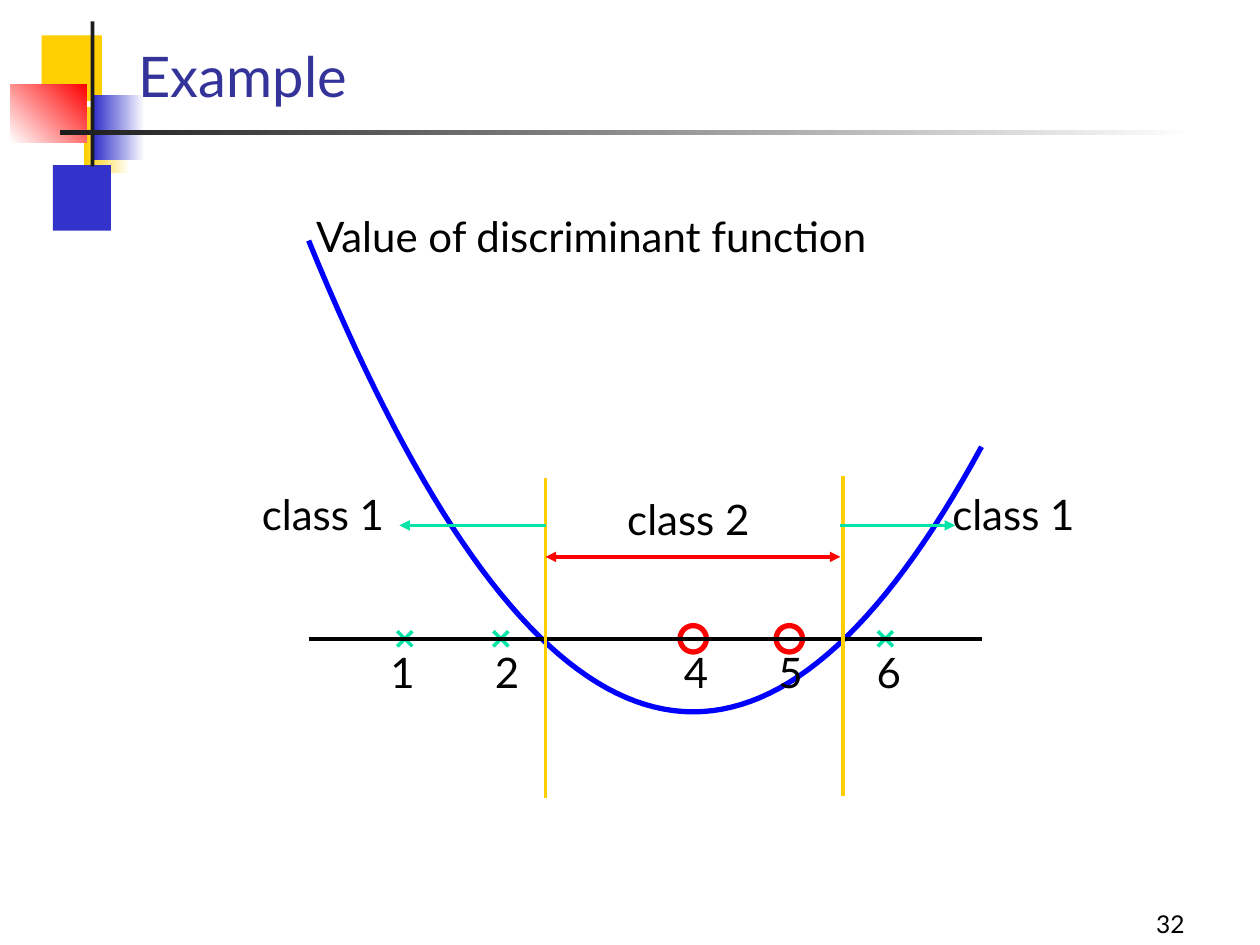
from pptx import Presentation
from pptx import util as u
from pptx.dml.color import RGBColor
from pptx.enum import shapes, text
from pptx.oxml.ns import qn
from lxml import etree

COLORS = {
    "gold": "FFCF01", "indigo": "3333CC", "red": "FF0000", "white": "FFFFFF",
    "ink": "1C1C1C", "title": "333399", "black": "000000",
    "class1": "00E4A8", "curve": "0000FF",
}

# Plot scale: x runs from 0 to 7, the parabola has its lowest point at x = 4
ORIGIN_X, UNIT_X, AXIS_Y = 2.45, 5.34 / 7, 5.07
LOW_X, LOW_Y, DROP = 4, 5.65, 3.74


def plot_x(value):
    return ORIGIN_X + UNIT_X * value


def curve_y(value):
    return LOW_Y - DROP * ((value - LOW_X) / LOW_X) ** 2


def rgb(name):
    return RGBColor.from_string(COLORS[name])


class Painter:
    font = "Lato"

    def __init__(self, page):
        self.page = page

    def style(self, frame, words, size, color, align=text.PP_ALIGN.LEFT):
        frame.text = words
        para = frame.paragraphs[0]
        para.alignment = align
        para.font.name = self.font
        para.font.size = u.Pt(size)
        para.font.color.rgb = rgb(color)

    def title(self, words, left, top, width, height):
        box = self.page.shapes.title
        box.left, box.top, box.width, box.height = map(u.Inches, (left, top, width, height))
        box.text_frame.vertical_anchor = text.MSO_ANCHOR.BOTTOM
        self.style(box.text_frame, words, 32, "title")
        box.element.getparent().append(box.element)  # in front of the ornament

    def label(self, words, left, top, width, height=0.5, size=24, wrap=False,
              align=text.PP_ALIGN.LEFT, anchor=text.MSO_ANCHOR.TOP):
        box = self.page.shapes.add_textbox(*map(u.Inches, (left, top, width, height)))
        box.text_frame.word_wrap = wrap
        box.text_frame.vertical_anchor = anchor
        self.style(box.text_frame, words, size, "black", align)

    def block(self, left, top, width, height, start, end=None, angle=180):
        shape = self.page.shapes.add_shape(
            shapes.MSO_SHAPE.RECTANGLE, *map(u.Inches, (left, top, width, height)))
        shape.shadow.inherit = False
        shape.line.fill.background()
        if end is None:
            shape.fill.solid()
            shape.fill.fore_color.rgb = rgb(start)
            return
        shape.fill.gradient()
        shape.fill.gradient_angle = angle
        for stop, color in zip(shape.fill.gradient_stops, (start, end)):
            stop.color.rgb = rgb(color)

    def ring(self, x, y, size, color):
        shape = self.page.shapes.add_shape(
            shapes.MSO_SHAPE.OVAL,
            *map(u.Inches, (x - size / 2, y - size / 2, size, size)))
        self.outline(shape, color)

    def curve(self, points, color):
        points = [(u.Inches(x), u.Inches(y)) for x, y in points]
        builder = self.page.shapes.build_freeform(*points[0])
        builder.add_line_segments(points[1:], close=False)
        self.outline(builder.convert_to_shape(), color)

    def outline(self, shape, color):
        shape.shadow.inherit = False
        shape.fill.background()
        shape.line.color.rgb = rgb(color)
        shape.line.width = u.Pt(3)

    def line(self, x1, y1, x2, y2, color, width=2, arrows=()):
        link = self.page.shapes.add_connector(
            shapes.MSO_CONNECTOR.STRAIGHT, *map(u.Inches, (x1, y1, x2, y2)))
        link.line.color.rgb = rgb(color)
        link.line.width = u.Pt(width)
        for end in arrows:
            etree.SubElement(link.line._get_or_add_ln(), qn(f"a:{end}"), type="triangle")
        etree.SubElement(link.element.spPr, qn("a:effectLst"))

    def cross(self, x, y, size, color):
        half = size / 2
        for rise in (half, -half):
            self.line(x - half, y - rise, x + half, y + rise, color)


def main():
    deck = Presentation()
    deck.slide_width, deck.slide_height = u.Inches(10), u.Inches(7.5)
    page = deck.slides.add_slide(deck.slide_layouts[5])
    painter = Painter(page)

    # Corner ornament and title
    painter.block(0.33, 0.28, 0.48, 0.52, "gold")
    painter.block(0.67, 0.85, 0.36, 0.52, "white", "gold")
    painter.block(0.42, 1.31, 0.46, 0.52, "indigo")
    painter.block(0.75, 0.75, 0.4, 0.52, "white", "indigo")
    painter.block(0.08, 0.67, 0.61, 0.46, "red", "white", angle=225)
    painter.block(0.72, 0.17, 0.03, 1.15, "ink")
    painter.block(0.48, 1.03, 9, 0.04, "white", "ink")
    painter.title("Example", 1, 0.08, 8.78, 0.83)

    # Samples of both classes
    for value in (1, 2, 6):
        painter.cross(plot_x(value), AXIS_Y, 0.12, "class1")
    for value in (4, 5):
        painter.ring(plot_x(value), AXIS_Y, 0.21, "red")

    # Discriminant function and axis
    steps = [step / 10 for step in range(71)]
    painter.curve([(plot_x(x), curve_y(x)) for x in steps], "curve")
    painter.line(plot_x(0), AXIS_Y, plot_x(7), AXIS_Y, "black", width=0)
    painter.label("Value of discriminant function", 2.41, 1.62, 4.89)
    for value, left in ((1, 3), (2, 3.83), (4, 5.33), (5, 6.08), (6, 6.86)):
        painter.label(str(value), left, 5.08, 0.39)

    # Decision boundaries and class regions
    for x, top in ((4.33, 3.79), (6.69, 3.78)):
        painter.line(x, top, x, top + 2.54, "gold")
    for words, left, top in (("class 2", 4.88, 3.87), ("class 1", 7.46, 3.83),
                             ("class 1", 1.98, 3.83)):
        painter.label(words, left, top, 1.23)
    painter.line(4.33, 4.17, 3.17, 4.17, "class1", arrows=["tailEnd"])
    painter.line(6.67, 4.17, 7.58, 4.17, "class1", arrows=["tailEnd"])
    painter.line(4.33, 4.42, 6.67, 4.42, "red", arrows=["headEnd", "tailEnd"])

    # Slide number
    painter.label("32", 7.42, 7.17, 2.08, 0.33, size=14, wrap=True,
                  align=text.PP_ALIGN.RIGHT, anchor=text.MSO_ANCHOR.BOTTOM)

    deck.save("out.pptx")


if __name__ == "__main__":
    main()
